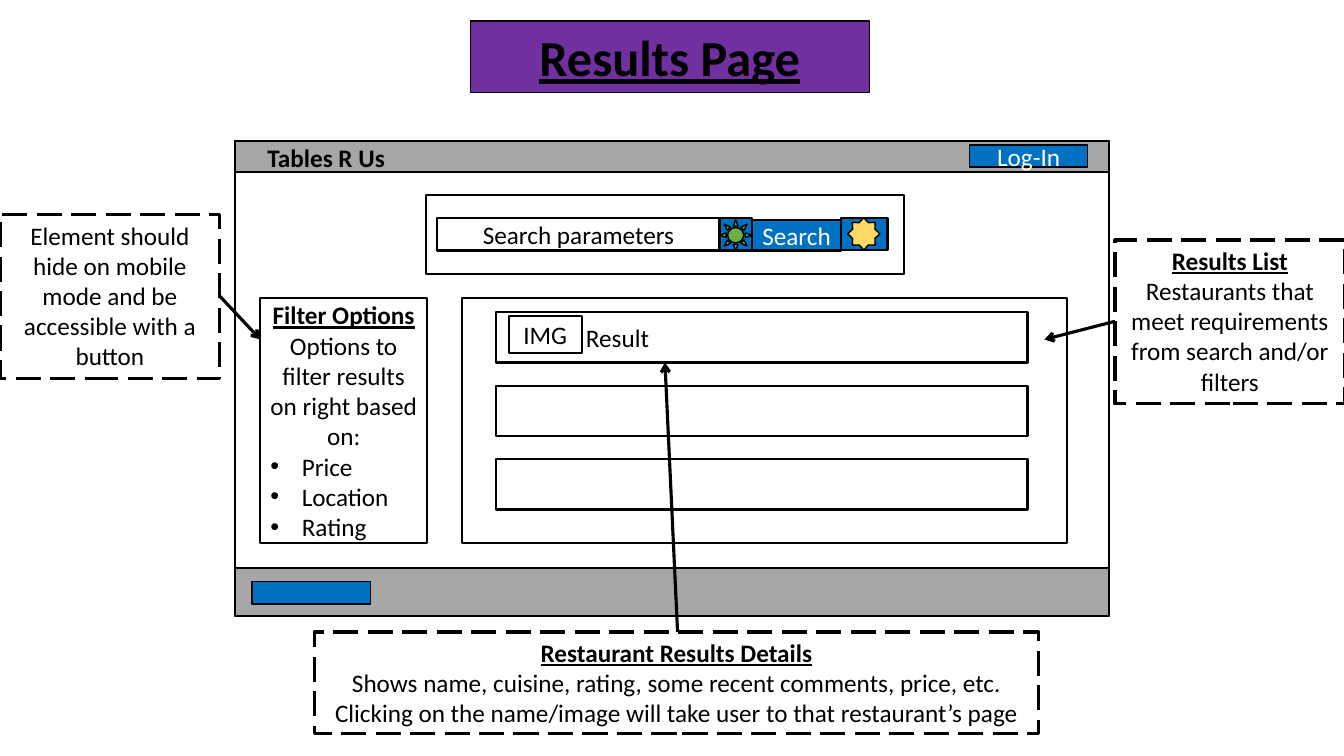
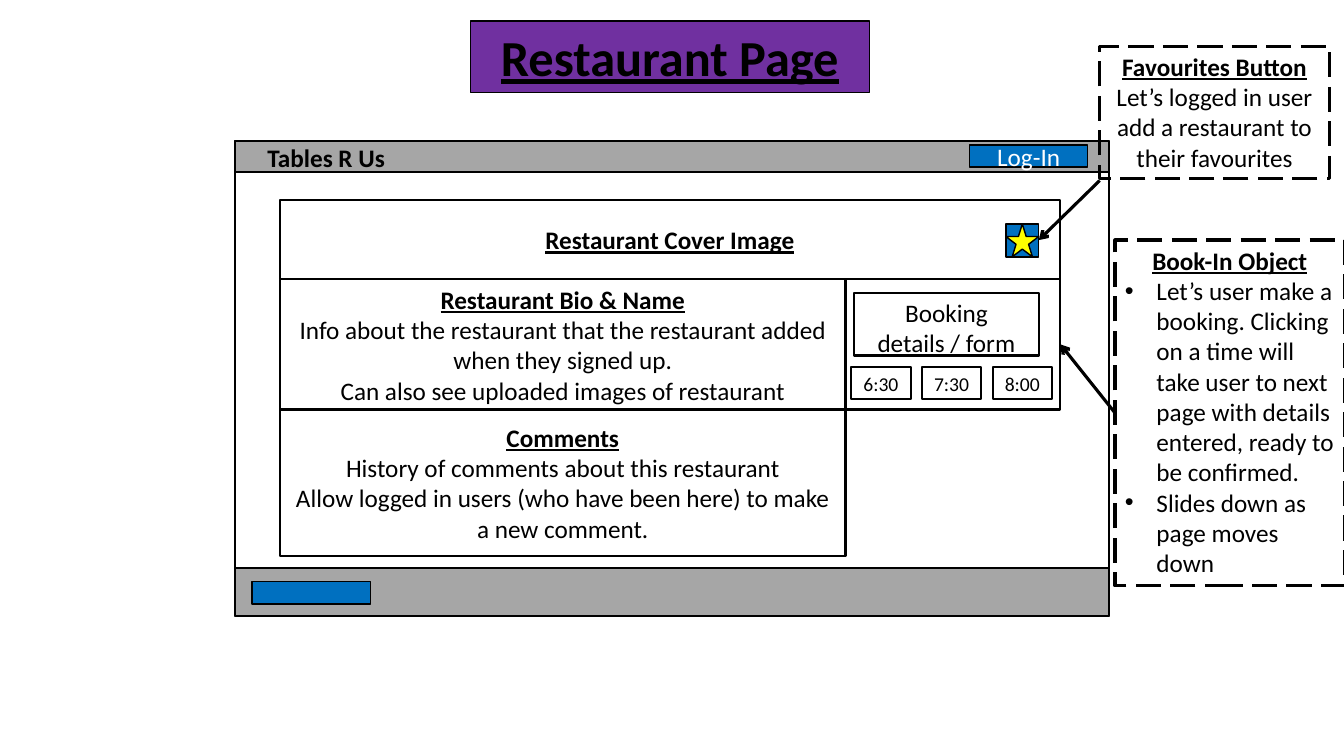
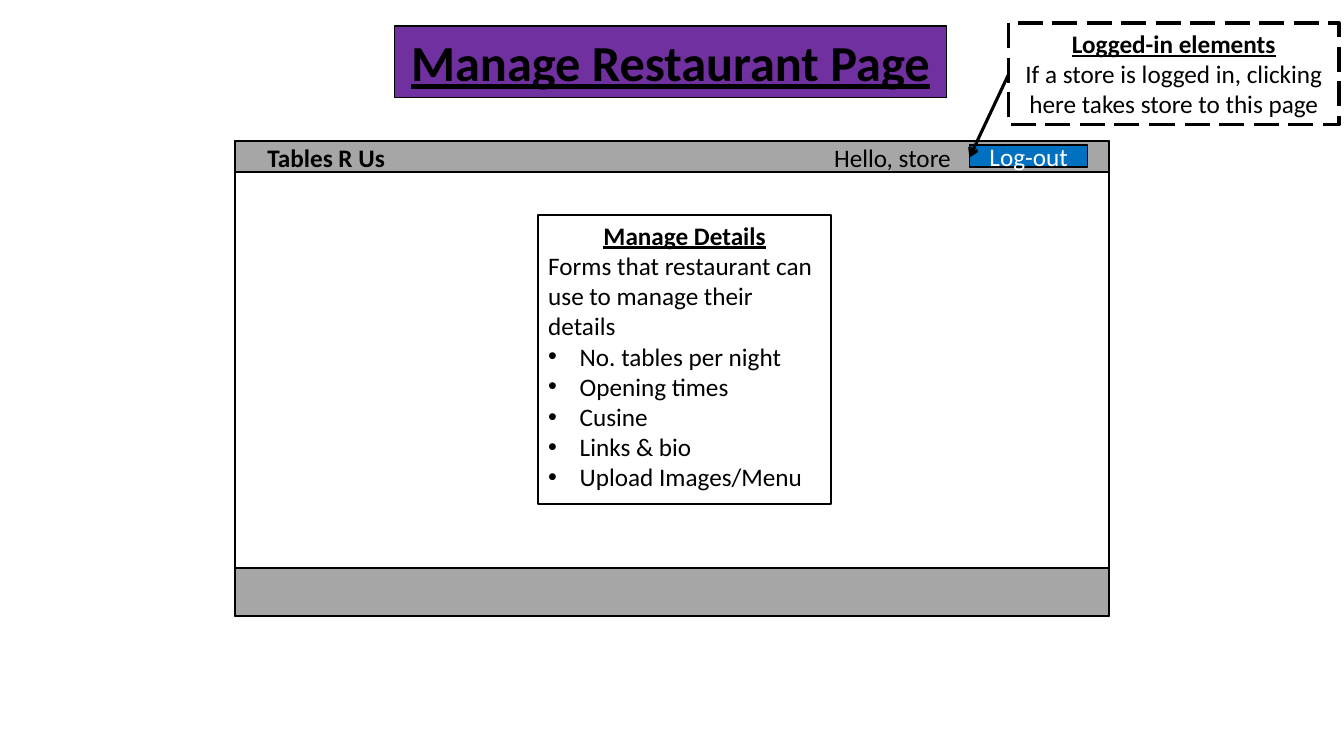
from dataclasses import dataclass

from lxml.etree import SubElement
from pptx import Presentation
from pptx.dml.color import RGBColor
from pptx.enum.dml import MSO_LINE
from pptx.enum.shapes import MSO_CONNECTOR, MSO_SHAPE as Preset
from pptx.enum.text import MSO_ANCHOR as Anchor, MSO_AUTO_SIZE as AutoSize, PP_ALIGN as Align
from pptx.oxml.ns import qn
from pptx.util import Pt

FONT = "Calibri"
BLACK, WHITE, GREY = "000000", "FFFFFF", "A6A6A6"
BLUE, PURPLE, GREEN = "0070C0", "7030A0", "70AD47"
GOLD, YELLOW = "FFD966", "FFFF00"
BULLET_INDENT = 22.5


@dataclass
class Line:
    text: str
    size: float = 18
    color: str = BLACK
    bold: bool = False
    underline: bool = False
    align: Align = Align.CENTER
    indent: float = 0
    bullet: bool = False


def heading(text, size=18):
    return Line(text, size, bold=True, underline=True)


def bullets(*items):
    return [Line(item, align=Align.LEFT, indent=BULLET_INDENT, bullet=True) for item in items]


def rgb(color):
    return RGBColor.from_string(color)


def write(box, lines, anchor):
    frame = box.text_frame
    frame.word_wrap = True
    frame.vertical_anchor = anchor
    for index, line in enumerate(lines):
        para = frame.paragraphs[0] if index == 0 else frame.add_paragraph()
        para.alignment = line.align
        properties = para._p.get_or_add_pPr()
        if line.indent:
            properties.set("marL", str(Pt(line.indent)))
        if line.bullet:
            properties.set("indent", str(-Pt(line.indent)))
            SubElement(properties, qn("a:buFont")).set("typeface", "Arial")
            SubElement(properties, qn("a:buChar")).set("char", "•")
        span = para.add_run()
        span.text = line.text
        font = span.font
        font.name = FONT
        font.size = Pt(line.size)
        font.bold = line.bold
        font.underline = line.underline
        font.color.rgb = rgb(line.color)


def add_box(page, area, lines=(), fill=WHITE, weight=1.5, preset=Preset.RECTANGLE,
            anchor=Anchor.MIDDLE):
    box = page.shapes.add_shape(preset, *map(Pt, area))
    box.shadow.inherit = False
    if fill:
        box.fill.solid()
        box.fill.fore_color.rgb = rgb(fill)
    else:
        box.fill.background()
    box.line.color.rgb = rgb(BLACK)
    box.line.width = Pt(weight)
    write(box, lines, anchor)
    return box


def add_button(page, area, text=None, weight=1):
    lines = [Line(text, color=WHITE)] if text else []
    add_box(page, area, lines, BLUE, weight)


def add_label(page, left, line):
    box = page.shapes.add_textbox(*map(Pt, (left, 104.5, 110, 16)))
    write(box, [line], Anchor.MIDDLE)


def add_note(page, area, lines):
    box = add_box(page, area, lines, None, 2.25, anchor=Anchor.TOP)
    box.line.dash_style = MSO_LINE.LONG_DASH
    box.text_frame.auto_size = AutoSize.SHAPE_TO_FIT_TEXT


def add_arrow(page, start, end):
    arrow = page.shapes.add_connector(MSO_CONNECTOR.STRAIGHT, *map(Pt, start + end))
    arrow.line.color.rgb = rgb(BLACK)
    arrow.line.width = Pt(2.25)
    SubElement(arrow.line._get_or_add_ln(), qn("a:tailEnd")).set("type", "arrow")
    SubElement(arrow._element.spPr, qn("a:effectLst"))


def add_page(deck, title, title_area, account):
    page = deck.slides.add_slide(deck.slide_layouts[6])
    add_box(page, (168, 101, 624, 339))
    add_box(page, (168, 406, 624, 34), fill=GREY)
    add_box(page, (168, 101, 624, 22), fill=GREY)
    add_label(page, 178, Line("Tables R Us", bold=True))
    add_button(page, (692.5, 103.5, 84.5, 16), account)
    box = add_box(page, title_area, [heading(title, 36)], PURPLE, 1, anchor=Anchor.TOP)
    box.text_frame.auto_size = AutoSize.SHAPE_TO_FIT_TEXT
    return page


def add_footer_button(page):
    add_button(page, (180, 415.5, 84.5, 16))


def add_search_bar(page):
    add_box(page, (304.5, 139, 341.5, 57))
    add_box(page, (312.5, 156, 201.5, 23), [Line("Search parameters")])
    add_button(page, (514, 156, 23, 23), weight=1.5)
    add_button(page, (537, 157, 64, 22), "Search", 1.5)
    add_box(page, (514, 157, 23, 22), fill=GREEN, weight=1, preset=Preset.SUN)
    add_button(page, (601, 155.5, 33, 23), weight=1.5)
    add_box(page, (605.5, 155.5, 23, 23), fill=GOLD, weight=1, preset=Preset.STAR_8_POINT)


def build_results(deck):
    page = add_page(deck, "Results Page", (336, 15, 285, 51), "Log-In")
    add_footer_button(page)
    add_search_bar(page)
    add_box(page, (186, 213, 119, 175), [
        heading("Filter Options"),
        Line("Options to filter results on right based on:"),
        *bullets("Price", "Location", "Rating"),
    ])
    add_box(page, (330, 213, 432, 175))
    result = Line("Result", align=Align.LEFT, indent=57)
    for row, lines in enumerate(([result], [], [])):
        add_box(page, (354.5, 223 + 52.5 * row, 379.5, 36), lines)
    add_box(page, (363.5, 226, 52, 26), [Line("IMG")])
    add_note(page, (796.5, 171.5, 164, 117), [
        heading("Results List"),
        Line("Restaurants that meet requirements from search and/or filters"),
    ])
    add_arrow(page, (796.5, 229.5), (746, 242.5))
    add_note(page, (224.5, 451.5, 517.5, 72.5), [
        heading("Restaurant Results Details"),
        Line("Shows name, cuisine, rating, some recent comments, price, etc. "
             "Clicking on the name/image will take user to that restaurant’s page"),
    ])
    add_arrow(page, (484, 451.5), (475, 259))
    add_note(page, (0, 153.5, 157, 117), [
        Line("Element should hide on mobile mode and be accessible with a button"),
    ])
    add_arrow(page, (157, 211.5), (186, 242.5))


def build_restaurant(deck):
    page = add_page(deck, "Restaurant Page", (336, 15, 285, 51), "Log-In")
    add_footer_button(page)
    add_box(page, (200, 199.5, 404, 93), [
        heading("Restaurant Bio & Name"),
        Line("Info about the restaurant that the restaurant added when they signed up."),
        Line("Can also see uploaded images of restaurant"),
    ], anchor=Anchor.TOP)
    add_box(page, (200, 292.5, 404, 104.5), [
        heading("Comments"),
        Line("History of comments about this restaurant"),
        Line("Allow logged in users (who have been here) to make a new comment."),
    ])
    add_box(page, (200, 143, 557, 56.5), [heading("Restaurant Cover Image")])
    add_box(page, (604, 199.5, 153, 93))
    add_box(page, (610, 209, 132, 45), [Line("Booking details / form")], anchor=Anchor.TOP)
    for column, time in enumerate(("6:30", "7:30", "8:00")):
        add_box(page, (608 + 50.5 * column, 262, 42.5, 23), [Line(time, 14)], anchor=Anchor.TOP)
    favourite = (718.5, 160, 23.5, 23.5)
    add_button(page, favourite)
    add_box(page, favourite, fill=YELLOW, weight=1, preset=Preset.STAR_5_POINT)
    add_note(page, (785.5, 33, 164, 94.5), [
        heading("Favourites Button"),
        Line("Let’s logged in user add a restaurant to their favourites"),
    ])
    add_arrow(page, (785.5, 129), (742, 171.5))
    add_note(page, (796.5, 171.5, 164, 247), [
        heading("Book-In Object"),
        *bullets(
            "Let’s user make a booking. Clicking on a time will take user to next page "
            "with details entered, ready to be confirmed.",
            "Slides down as page moves down",
        ),
    ])
    add_arrow(page, (796.5, 295), (757.5, 246))


def build_manage(deck):
    page = add_page(deck, "Manage Restaurant Page", (282, 18.5, 394, 51), "Log-out")
    add_label(page, 582.5, Line("Hello, store"))
    add_box(page, (384.5, 153.5, 209, 206.5), [
        heading("Manage Details"),
        Line("Forms that restaurant can use to manage their details", align=Align.LEFT),
        *bullets("No. tables per night", "Opening times", "Cusine", "Links & bio",
                 "Upload Images/Menu"),
    ], anchor=Anchor.TOP)
    add_arrow(page, (720.5, 53), (692.5, 112.5))
    add_note(page, (720.5, 16.5, 236, 72.5), [
        heading("Logged-in elements"),
        Line("If a store is logged in, clicking here takes store to this page"),
    ])


def main():
    deck = Presentation()
    deck.slide_width, deck.slide_height = Pt(960), Pt(540)
    build_results(deck)
    build_restaurant(deck)
    build_manage(deck)
    deck.save("out.pptx")


if __name__ == "__main__":
    main()
